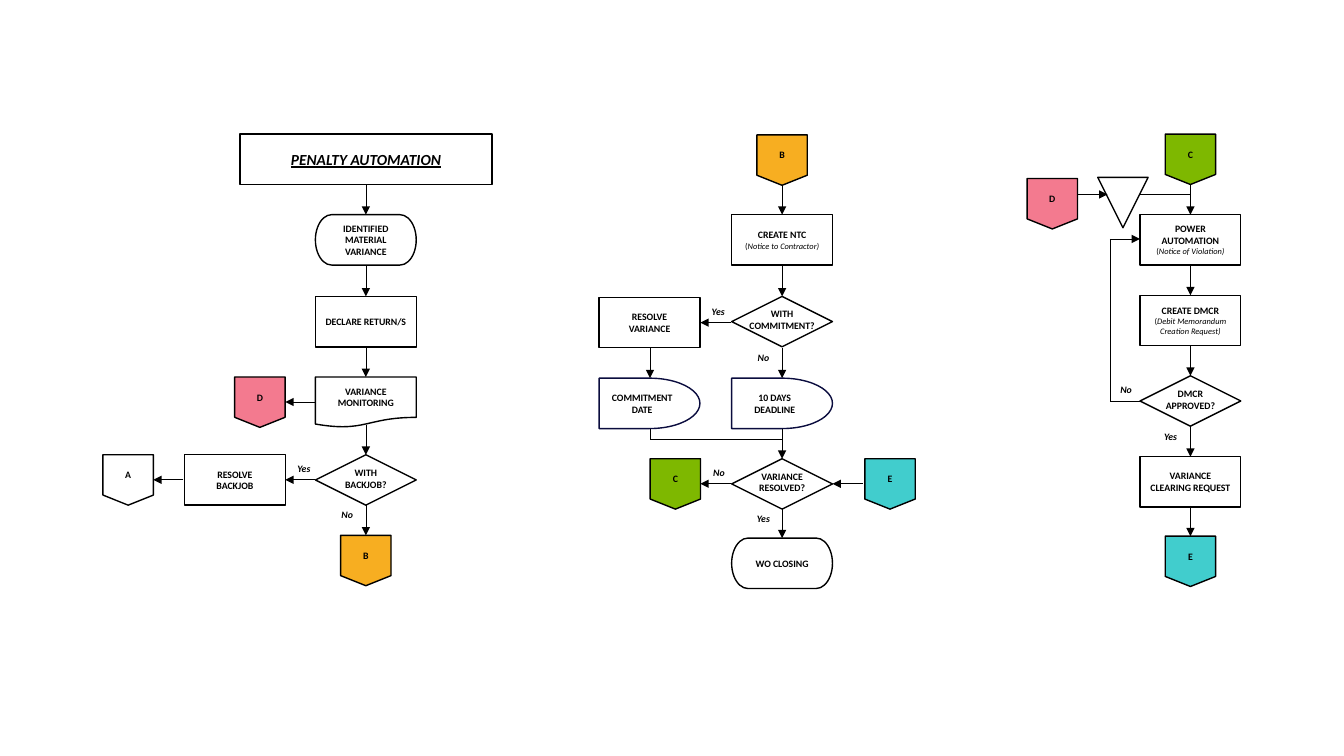
from lxml import etree
from pptx import Presentation
from pptx import util as u
from pptx.dml import color
from pptx.enum import shapes, text
from pptx.oxml import ns

KIND = shapes.MSO_SHAPE
PAGE = KIND.FLOWCHART_OFFPAGE_CONNECTOR
STEP = KIND.FLOWCHART_PROCESS
TEST = KIND.FLOWCHART_DECISION
OVAL = KIND.FLOWCHART_TERMINATOR
WAIT = KIND.FLOWCHART_DELAY
DOC = KIND.FLOWCHART_DOCUMENT
MERGE = KIND.FLOWCHART_MERGE

BLACK, NAVY = "000000", "0A0C3E"
FILLS = {"B": "F7AE21", "C": "7EB800", "D": "F37A8F", "E": "41CDCD"}
TITLE = "PENALTY AUTOMATION"
TALL, WIDE, GAP = 1.27, 2.54, 0.76

COLUMNS = [
    (9.22, [
        (5.41, OVAL, "IDENTIFIED\nMATERIAL VARIANCE"),
        (7.47, STEP, "DECLARE RETURN/S"),
        (9.5, DOC, "VARIANCE MONITORING"),
        (11.46, TEST, "WITH\nBACKJOB?"),
        (13.49, PAGE, "B"),
    ]),
    (19.71, [
        (3.4, PAGE, "B"),
        (5.41, STEP, "CREATE NTC\n(Notice to Contractor)"),
        (7.47, TEST, "WITH\nCOMMITMENT?"),
        (9.53, WAIT, "10 DAYS DEADLINE"),
        (11.56, TEST, "VARIANCE\nRESOLVED?"),
        (13.56, OVAL, "WO CLOSING"),
    ]),
    (30, [
        (3.38, PAGE, "C"),
        (5.41, STEP, "POWER AUTOMATION\n(Notice of Violation)"),
        (7.44, STEP, "CREATE DMCR\n(Debit Memorandum Creation Request)"),
        (9.47, TEST, "DMCR\nAPPROVED?"),
        (11.51, STEP, "VARIANCE CLEARING REQUEST"),
        (13.51, PAGE, "E"),
    ]),
]
SIDES = [
    (3.23, 11.46, PAGE, "A"),
    (5.92, 11.46, STEP, "RESOLVE\nBACKJOB"),
    (6.55, 9.5, PAGE, "D"),
    (16.37, 7.49, STEP, "RESOLVE\nVARIANCE"),
    (16.37, 9.53, WAIT, "COMMITMENT DATE"),
    (17.02, 11.56, PAGE, "C"),
    (22.43, 11.56, PAGE, "E"),
    (26.52, 4.5, PAGE, "D"),
    (28.3, 4.47, MERGE, ""),
]
ARROWS = [
    (7.95, 12.09, 7.19, 12.09),
    (4.62, 12.09, 3.86, 12.09),
    (7.95, 10.13, 7.19, 10.13),
    (18.42, 8.13, 17.65, 8.13),
    (18.42, 12.19, 17.65, 12.19),
    (21.74, 12.19, 20.98, 12.19),
    (16.38, 8.76, 16.38, 9.53),
    (27.15, 4.9, 27.91, 4.9),
    (27.97, 6.02, 28.73, 6.02),
]
LINES = [
    (16.38, 10.82, 16.38, 11.08),
    (19.71, 11.08, 16.38, 11.08),
    (30, 4.9, 28.73, 4.9),
    (28.73, 10.11, 27.97, 10.11),
    (27.97, 6.02, 27.97, 10.11),
]
TAGS = [
    (7.19, 11.53, "Yes"), (8.28, 12.7, "No"),
    (17.63, 7.57, "Yes"), (18.77, 8.74, "No"),
    (17.65, 11.63, "No"), (18.77, 12.8, "Yes"),
    (27.91, 9.55, "No"), (29.03, 10.74, "Yes"),
]

deck = Presentation()
deck.slide_width, deck.slide_height = u.Cm(33.87), u.Cm(19.05)
slide = deck.slides.add_slide(deck.slide_layouts[5])


def rgb(code):
    return color.RGBColor.from_string(code)


def write(shape, words, size=7, italic=False, line=False, wrap=True, middle=True):
    frame = shape.text_frame
    frame.auto_size = text.MSO_AUTO_SIZE.NONE
    frame.word_wrap = wrap
    frame.vertical_anchor = text.MSO_ANCHOR.MIDDLE if middle else text.MSO_ANCHOR.TOP
    for i, row in enumerate(words.split("\n")):
        para = frame.add_paragraph() if i else frame.paragraphs[0]
        para.alignment = text.PP_ALIGN.CENTER
        note = row.startswith("(")
        parts = [("(", False), (row[1:], True)] if note else [(row, italic)]
        for part, slant in parts:
            run = para.add_run()
            run.text = part
            font = run.font
            font.name, font.size = "Calibri", u.Pt(size - 1 if note else size)
            font.bold, font.italic, font.underline = not note, slant, line
            font.color.rgb = rgb(BLACK)


def paint(shape, fill=None, edge=BLACK):
    if fill:
        shape.fill.solid()
        shape.fill.fore_color.rgb = rgb(fill)
    else:
        shape.fill.background()
    shape.line.color.rgb = rgb(edge)
    shape.line.width = u.Pt(1)


def label(x, y, wide, tall, words, **form):
    box = slide.shapes.add_textbox(u.Cm(x), u.Cm(y), u.Cm(wide), u.Cm(tall))
    write(box, words, middle=False, **form)


def node(mid, top, kind, words):
    wide = TALL if kind in (PAGE, MERGE) else WIDE
    left = mid - wide / 2
    shape = slide.shapes.add_shape(kind, u.Cm(left), u.Cm(top), u.Cm(wide), u.Cm(TALL))
    shape.shadow.inherit = False
    paint(shape, FILLS.get(words), NAVY if kind == WAIT else BLACK)
    if kind == TEST:
        label(left, top + 0.17, wide, 0.86, words)
    elif words:
        write(shape, words)


def link(x1, y1, x2, y2, head=True):
    ends = [u.Cm(v) for v in (x1, y1, x2, y2)]
    wire = slide.shapes.add_connector(shapes.MSO_CONNECTOR.STRAIGHT, *ends)
    wire.line.color.rgb = rgb(BLACK)
    wire.line.width = u.Pt(0.5)
    if head:
        etree.SubElement(wire.line._get_or_add_ln(), ns.qn("a:tailEnd"), type="triangle")
    etree.SubElement(wire._element.spPr, ns.qn("a:effectLst"))


def head():
    title = slide.shapes.title
    title.left, title.top = u.Cm(6.05), u.Cm(3.38)
    title.width, title.height = u.Cm(6.35), u.Cm(TALL)
    form = etree.SubElement(title._element.spPr, ns.qn("a:prstGeom"),
                            prst="flowChartPredefinedProcess")
    etree.SubElement(form, ns.qn("a:avLst"))
    paint(title)
    write(title, TITLE, size=11, italic=True, line=True)


def main():
    head()
    for col, (mid, steps) in enumerate(COLUMNS):
        for row, (top, kind, words) in enumerate(steps):
            node(mid, top, kind, words)
            if row or col == 0:
                link(mid, top - GAP, mid, top)
    for side in SIDES:
        node(*side)
    for ends in ARROWS:
        link(*ends)
    for ends in LINES:
        link(*ends, head=False)
    for x, y, words in TAGS:
        label(x, y, 0.94, 0.56, words, italic=True, wrap=False)
    deck.save("out.pptx")


if __name__ == "__main__":
    main()
